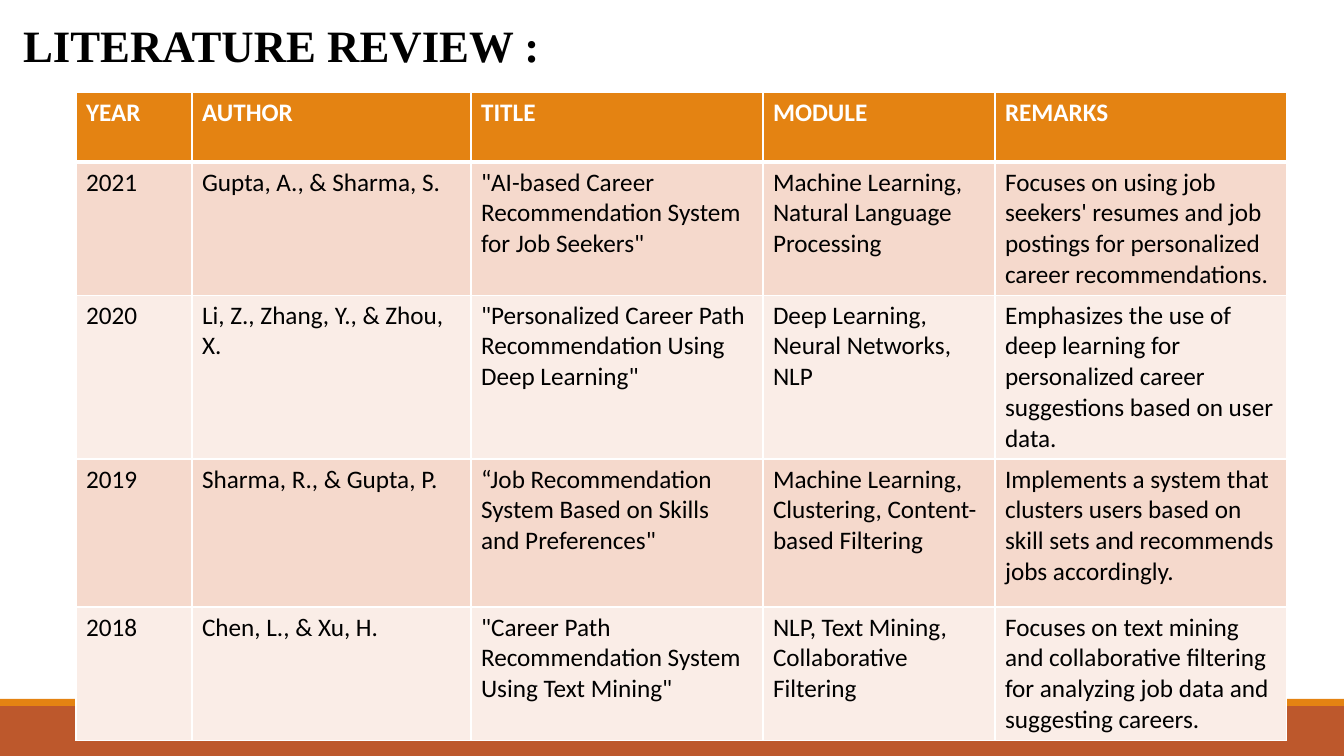
"""Build the literature review slide with its table of related studies."""
import lxml.etree
import pptx
import pptx.dml.color
import pptx.enum.shapes
import pptx.enum.text
import pptx.oxml.ns
import pptx.util

RGBColor = pptx.dml.color.RGBColor
BLACK = RGBColor(0x00, 0x00, 0x00)
WHITE = RGBColor(0xFF, 0xFF, 0xFF)
ORANGE = RGBColor(0xE4, 0x83, 0x12)
RUST = RGBColor(0xBD, 0x58, 0x2C)
PEACH = RGBColor(0xF5, 0xD9, 0xCC)
PALE_PEACH = RGBColor(0xFA, 0xED, 0xE7)

TITLE = "LITERATURE REVIEW :"
STUDIES = [
    ("YEAR", "AUTHOR", "TITLE", "MODULE", "REMARKS"),
    ("2021", "Gupta, A., & Sharma, S.",
     '"AI-based Career Recommendation System for Job Seekers"',
     "Machine Learning, Natural Language Processing",
     "Focuses on using job seekers' resumes and job postings for personalized "
     "career recommendations."),
    ("2020", "Li, Z., Zhang, Y., & Zhou, X.",
     '"Personalized Career Path Recommendation Using Deep Learning"',
     "Deep Learning, Neural Networks, NLP",
     "Emphasizes the use of deep learning for personalized career suggestions "
     "based on user data."),
    ("2019", "Sharma, R., & Gupta, P.",
     '“Job Recommendation System Based on Skills and Preferences"',
     "Machine Learning, Clustering, Content-based Filtering",
     "Implements a system that clusters users based on skill sets and "
     "recommends jobs accordingly."),
    ("2018", "Chen, L., & Xu, H.",
     '"Career Path Recommendation System Using Text Mining"',
     "NLP, Text Mining, Collaborative Filtering",
     "Focuses on text mining and collaborative filtering for analyzing job "
     "data and suggesting careers."),
]

SLIDE_SIZE = (1344, 756)
TITLE_BOX = (13, 12, 1315, 65)
BANDS = [((0, 706, 1344, 50), RUST), ((0, 699, 1344, 7), ORANGE)]
TABLE_ORIGIN = (76, 92)
COLUMN_WIDTHS = (116, 279, 292, 232, 292)
ROW_HEIGHTS = (70, 126, 155, 148, 130)


def px(length):
    """Turn a length in px into EMU."""
    return pptx.util.Emu(round(length * 914400 / 100.8))


def add_band(slide, box, color):
    """Add a plain filled band."""
    band = slide.shapes.add_shape(
        pptx.enum.shapes.MSO_SHAPE.RECTANGLE, *map(px, box))
    band.shadow.inherit = False
    band.fill.solid()
    band.fill.fore_color.rgb = color
    band.line.fill.background()


def set_borders(cell, widths):
    """Draw white cell borders with the given widths in points."""
    properties = cell._tc.get_or_add_tcPr()
    qn = pptx.oxml.ns.qn
    for side, width in widths.items():
        line = lxml.etree.SubElement(
            properties, qn(f"a:ln{side}"), w=str(pptx.util.Pt(width)))
        fill = lxml.etree.SubElement(line, qn("a:solidFill"))
        lxml.etree.SubElement(fill, qn("a:srgbClr"), val=str(WHITE))


def fill_cell(cell, text, row_index):
    """Write and style one table cell."""
    header = row_index == 0
    set_borders(cell, {"L": 1, "R": 1, "T": 3 if row_index == 1 else 1,
                       "B": 3 if header else 1})
    cell.fill.solid()
    cell.fill.fore_color.rgb = (
        ORANGE if header else PEACH if row_index % 2 else PALE_PEACH)
    cell.text = text
    font = cell.text_frame.paragraphs[0].font
    font.name = "Calibri"
    font.size = pptx.util.Pt(18)
    font.bold = header
    font.color.rgb = WHITE if header else BLACK


def add_title(slide):
    """Place and format the slide title."""
    title = slide.shapes.title
    title.left, title.top, title.width, title.height = map(px, TITLE_BOX)
    title.text = TITLE
    title.text_frame.word_wrap = True
    title.text_frame.vertical_anchor = pptx.enum.text.MSO_ANCHOR.MIDDLE
    paragraph = title.text_frame.paragraphs[0]
    paragraph.alignment = pptx.enum.text.PP_ALIGN.LEFT
    paragraph.font.name = "Times New Roman"
    paragraph.font.size = pptx.util.Pt(32)
    paragraph.font.bold = True
    paragraph.font.color.rgb = BLACK


def add_studies(slide):
    """Add the table of studies."""
    box = (*TABLE_ORIGIN, sum(COLUMN_WIDTHS), sum(ROW_HEIGHTS))
    table = slide.shapes.add_table(
        len(ROW_HEIGHTS), len(COLUMN_WIDTHS), *map(px, box)).table
    for column, width in zip(table.columns, COLUMN_WIDTHS):
        column.width = px(width)
    for row_index, (row, height) in enumerate(zip(table.rows, ROW_HEIGHTS)):
        row.height = px(height)
        for cell, text in zip(row.cells, STUDIES[row_index]):
            fill_cell(cell, text, row_index)


def main():
    """Build and save the presentation."""
    presentation = pptx.Presentation()
    presentation.slide_width, presentation.slide_height = map(px, SLIDE_SIZE)
    slide = presentation.slides.add_slide(presentation.slide_layouts[5])
    add_title(slide)
    for box, color in BANDS:
        add_band(slide, box, color)
    add_studies(slide)
    presentation.save("out.pptx")


if __name__ == "__main__":
    main()
